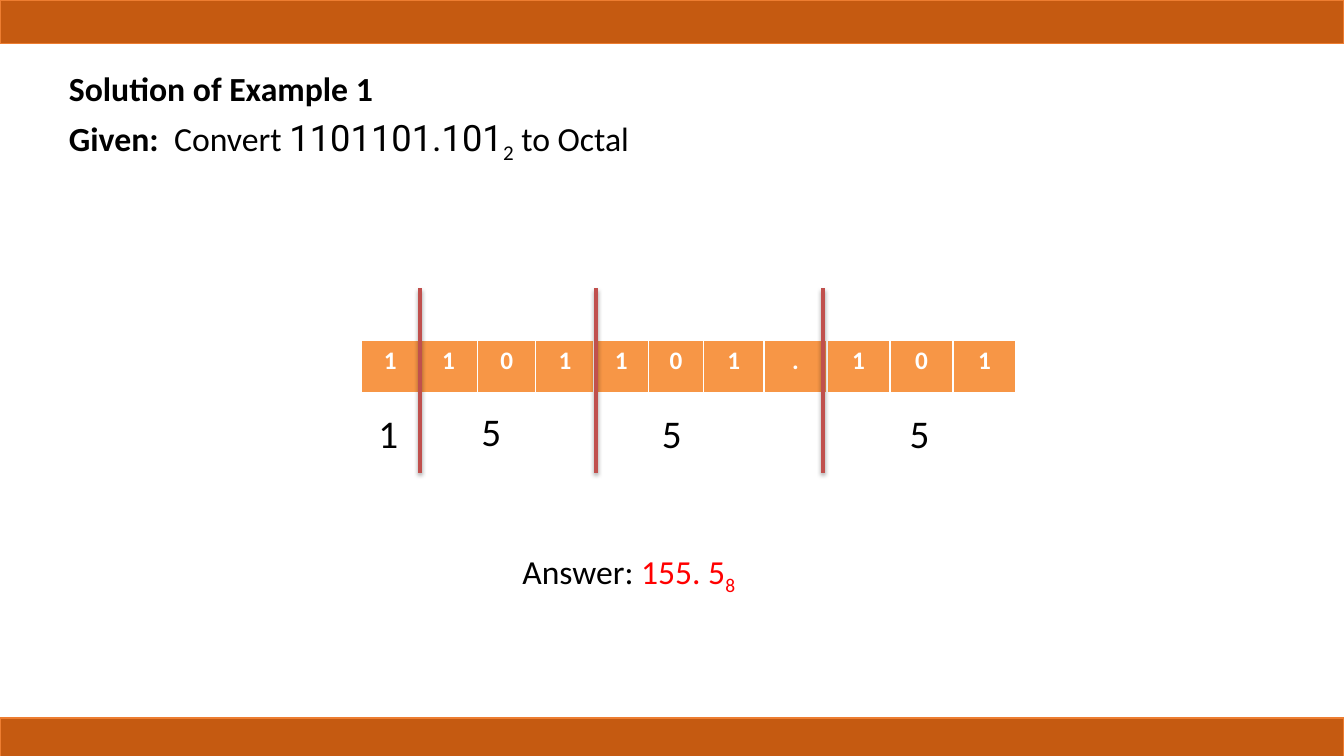
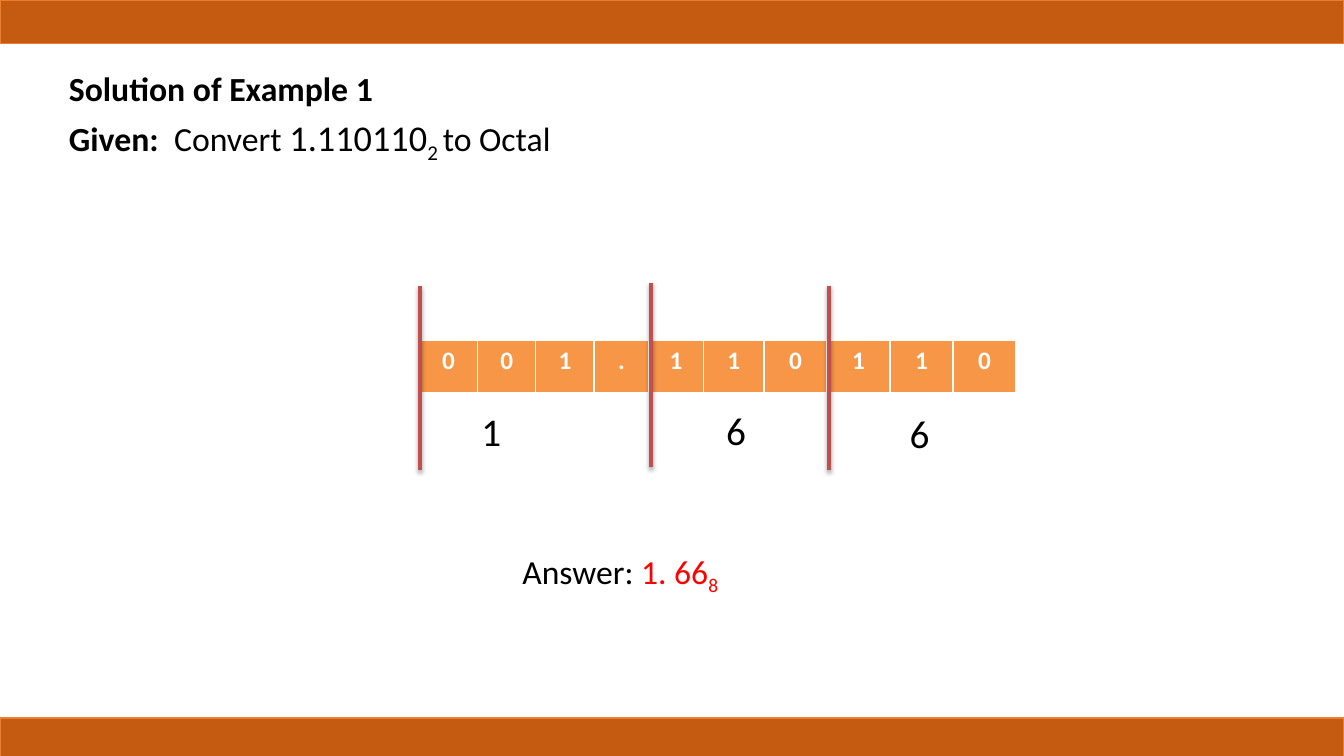
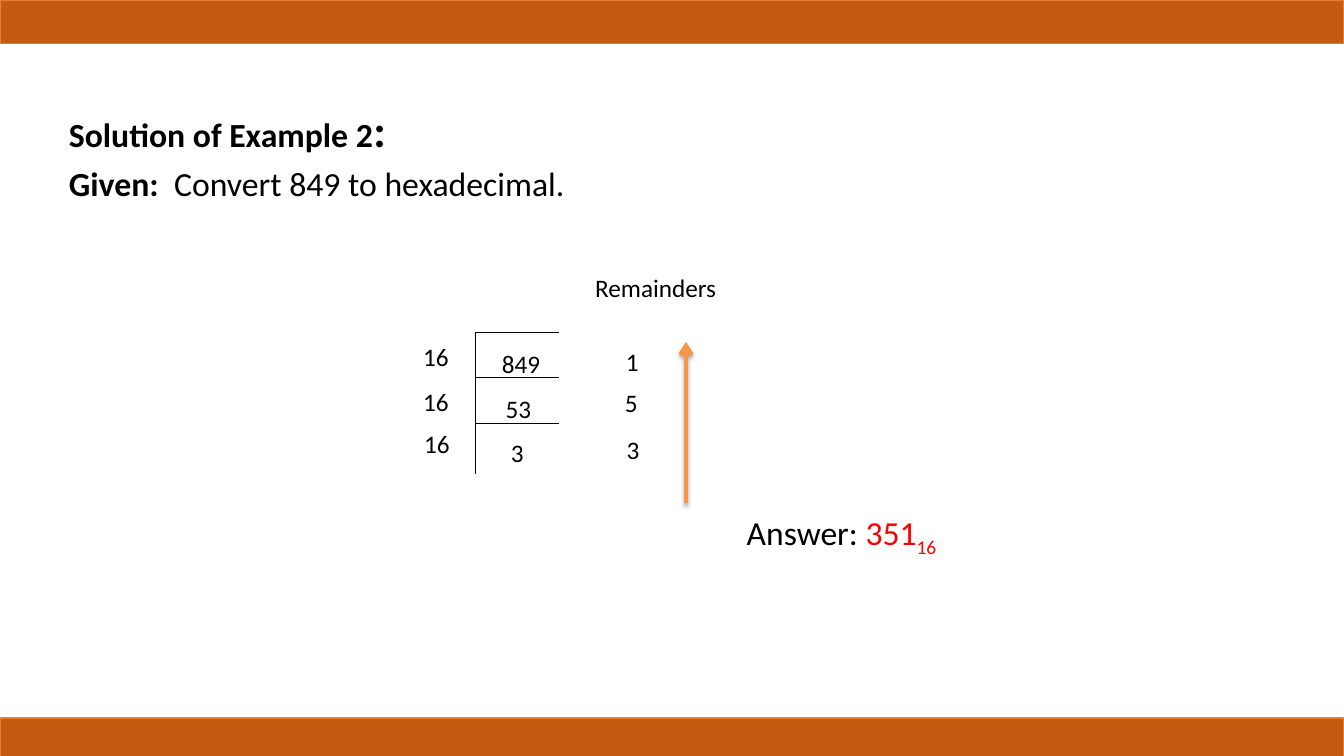
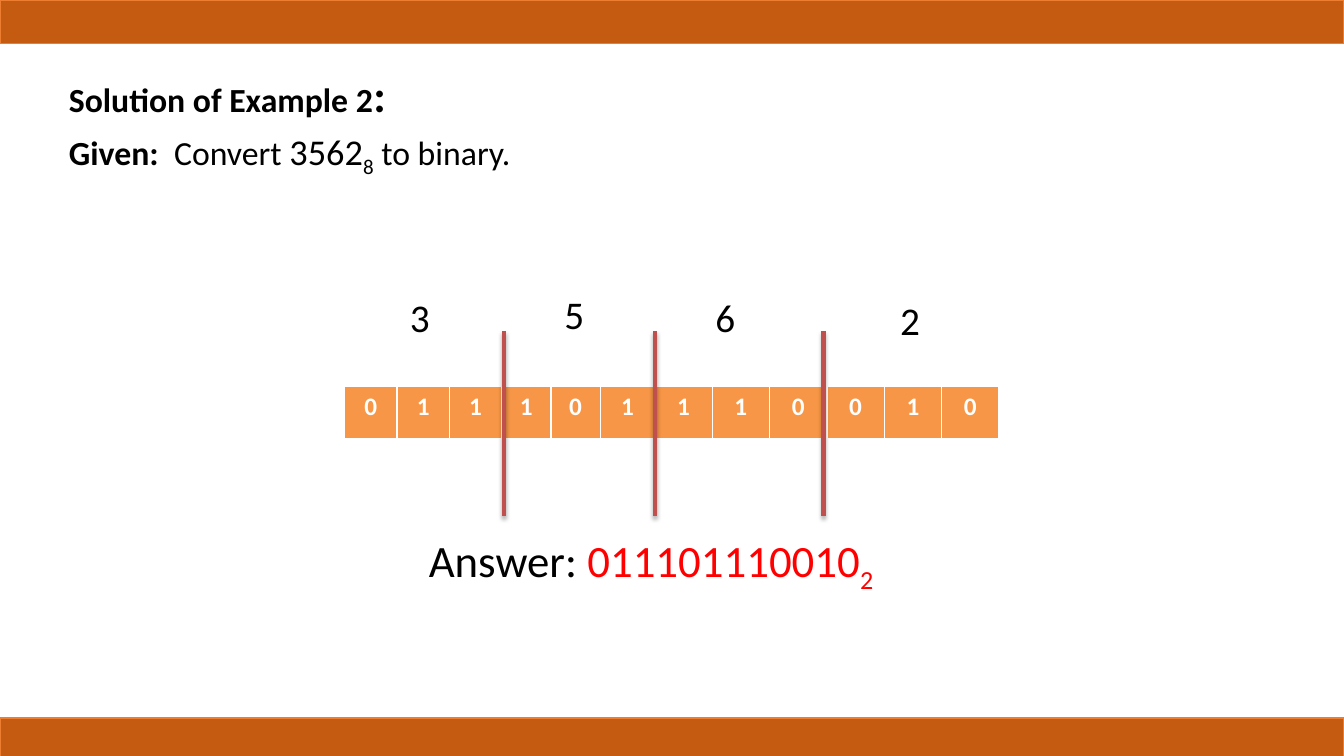
from lxml import etree
from pptx import Presentation
from pptx.dml.color import RGBColor
from pptx.enum import shapes, text
from pptx.oxml import ns
from pptx.util import Pt

BLACK = RGBColor(0x00, 0x00, 0x00)
WHITE = RGBColor(0xFF, 0xFF, 0xFF)
RED = RGBColor(0xFF, 0x00, 0x00)
RUST = RGBColor(0xC5, 0x5A, 0x11)
BAND_EDGE = RGBColor(0xED, 0x7D, 0x31)
ORANGE = RGBColor(0xF7, 0x96, 0x46)
BRICK = RGBColor(0xC0, 0x50, 0x4D)

SLIDE_WIDTH, SLIDE_HEIGHT = 960, 540
HEADING_LEFT, HEADING_WIDTH, HEADING_HEIGHT = 42, 552, 70.6
BAND_HEIGHT = 31
BAND_TOPS = (0, 513)
STRIP_HEIGHT = 38.2
DIVIDER_HEIGHT = 132
DIGIT_HEIGHT = 41.2
LABEL_HEIGHT = 29

SUBSCRIPT = {"base": -25000}
BIG = {"size": 25.9}
PLAIN = {"bold": False}
EXAMPLE_1 = [("Solution of Example 1", {})]
EXAMPLE_2 = [("Solution of Example 2", {}), (":", {"size": 32.4})]
GIVEN = ("Given:  ", {})

BITS_TO_OCTAL = [41.6] * 4 + [39] * 2 + [43.5] + [45] * 4
OCTAL_TO_BITS = [37.4] * 3 + [35.2] * 2 + [39] + [41] * 6


def add_child(parent, tag, **attributes):
    return etree.SubElement(parent, ns.qn(tag), attributes)


def add_span(para, content, size=18, color=BLACK, bold=False, base=0, font="Calibri"):
    span = para.add_run()
    span.text = content
    span.font.name = font
    span.font.size = Pt(size)
    span.font.bold = bold
    span.font.color.rgb = color
    if base:
        span._r.get_or_add_rPr().set("baseline", str(base))


def add_spans(para, spans, **shared):
    for content, changes in spans:
        add_span(para, content, **{**shared, **changes})


def add_label(page, left, top, width, height, spans, align=text.PP_ALIGN.LEFT, **style):
    box = page.shapes.add_textbox(Pt(left), Pt(top), Pt(width), Pt(height))
    frame = box.text_frame
    frame.word_wrap = True
    frame.auto_size = text.MSO_AUTO_SIZE.SHAPE_TO_FIT_TEXT
    para = frame.paragraphs[0]
    para.alignment = align
    add_spans(para, spans, **style)


def add_answer(page, left, top, width, height, value, radix, size=24, **style):
    spans = [("Answer: ", {}), (value, {"color": RED}), (radix, {"color": RED, **SUBSCRIPT})]
    add_label(page, left, top, width, height, spans, size=size, **style)


def add_line(page, start, end, color, width, shadow=False, arrow=False):
    line = page.shapes.add_connector(
        shapes.MSO_CONNECTOR.STRAIGHT, *(Pt(value) for value in (*start, *end)))
    line.line.color.rgb = color
    line.line.width = Pt(width)
    if arrow:
        add_child(line.line._get_or_add_ln(), "a:tailEnd", type="arrow")
    effects = add_child(line._element.spPr, "a:effectLst")
    if shadow:
        outer = add_child(effects, "a:outerShdw", blurRad=str(Pt(3.1)), dist=str(Pt(1.8)),
                          dir="5400000", rotWithShape="0")
        tint = add_child(outer, "a:srgbClr", val=str(BLACK))
        add_child(tint, "a:alpha", val="35000")


def add_bands(page):
    for top in BAND_TOPS:
        band = page.shapes.add_shape(
            shapes.MSO_SHAPE.RECTANGLE, 0, Pt(top), Pt(SLIDE_WIDTH), Pt(BAND_HEIGHT))
        band.shadow.inherit = False
        band.fill.solid()
        band.fill.fore_color.rgb = RUST
        band.line.color.rgb = BAND_EDGE
        band.line.width = Pt(1)


def start_page(deck, top, title, task):
    page = deck.slides.add_slide(deck.slide_layouts[0])
    unused = page.shapes.title._element
    unused.getparent().remove(unused)
    heading = page.placeholders[1]
    heading.left, heading.top = Pt(HEADING_LEFT), Pt(top)
    heading.width, heading.height = Pt(HEADING_WIDTH), Pt(HEADING_HEIGHT)
    frame = heading.text_frame
    frame.auto_size = text.MSO_AUTO_SIZE.NONE
    frame.vertical_anchor = text.MSO_ANCHOR.TOP
    for para, spans in ((frame.paragraphs[0], title), (frame.add_paragraph(), [GIVEN] + task)):
        para.alignment = text.PP_ALIGN.LEFT
        add_spans(para, spans, size=24.1, bold=True)
    frame.paragraphs[0].space_before = Pt(0)
    add_bands(page)
    return page


def style_cell(cell, content):
    borders = cell._tc.get_or_add_tcPr()
    for side, width in (("L", 1), ("R", 1), ("T", 1), ("B", 3)):
        edge = add_child(borders, f"a:ln{side}", w=str(Pt(width)))
        add_child(add_child(edge, "a:solidFill"), "a:srgbClr", val=str(WHITE))
    if not content.strip():
        cell.fill.background()
        return
    cell.fill.solid()
    cell.fill.fore_color.rgb = ORANGE
    para = cell.text_frame.paragraphs[0]
    para.alignment = text.PP_ALIGN.CENTER
    add_span(para, content, color=WHITE, bold=True)


def add_bit_strip(page, left, top, widths, bits, dividers, digits, digit_width, align):
    frame = page.shapes.add_table(
        1, len(bits), Pt(left), Pt(top), Pt(sum(widths)), Pt(STRIP_HEIGHT))
    table = frame.table
    table.rows[0].height = Pt(STRIP_HEIGHT)
    for column, width, cell, bit in zip(table.columns, widths, table.rows[0].cells, bits):
        column.width = Pt(width)
        style_cell(cell, bit)
    for across, down in dividers:
        x, y = left + across, top + down
        add_line(page, (x, y), (x, y + DIVIDER_HEIGHT), BRICK, 3, shadow=True)
    for digit, across, down in digits:
        add_label(page, left + across, top + down, digit_width, DIGIT_HEIGHT,
                  [(digit, {})], align=align, size=28)


def add_division(page, left, top, steps):
    add_label(page, left + 59.6, top - 46.4, 138, LABEL_HEIGHT, [("Remainders", {})],
              align=text.PP_ALIGN.CENTER)
    for down, cells in steps:
        y = top + down
        add_line(page, (left, y + 36), (left, y), BLACK, 0.75)
        add_line(page, (left + 59.6, y), (left, y), BLACK, 0.75)
        for content, across, drop, width in cells:
            add_label(page, left + across, y + drop, width, LABEL_HEIGHT, [(content, {})])
    add_line(page, (left + 150.2, top + 122), (left + 150.2, top + 6.8), ORANGE, 3,
             shadow=True, arrow=True)


def build_octal_page(deck, task, bits, dividers, digits, answer):
    page = start_page(deck, 44.6, EXAMPLE_1, task)
    add_bit_strip(page, 258, 243.4, BITS_TO_OCTAL, bits, dividers, digits, 48,
                  text.PP_ALIGN.CENTER)
    add_answer(page, 366, 390, 198, 36, answer, "8")


def build_hexadecimal_page(deck):
    page = start_page(deck, 69.1, EXAMPLE_2, [("Convert 849 to hexadecimal.", PLAIN)])
    add_division(page, 339.8, 237.4, [
        (0, [("16", -44.6, 3.1, 34), ("849", 11.6, 8.1, 44), ("1", 100.2, 6.7, 24)]),
        (32, [("16", -44.6, 2.8, 34), ("53", 14.4, 7.8, 44), ("5", 99.4, 3.5, 24)]),
        (65, [("16", -43.9, 0, 34), ("3", 18, 6.5, 24), ("3", 100.8, 4.3, 24)]),
    ])
    add_answer(page, 526.3, 362.2, 228, 36, "351", "16")


def build_binary_page(deck):
    page = start_page(deck, 44.6, EXAMPLE_2, [
        ("Convert ", PLAIN), ("3562", {**PLAIN, **BIG}),
        ("8", {**PLAIN, **BIG, **SUBSCRIPT}), (" to binary.", PLAIN)])
    add_bit_strip(page, 246.2, 276, OCTAL_TO_BITS, "011101110010",
                  [(113.8, -39.2), (221.8, -39.2), (342, -39.2)],
                  [("3", 39.6, -70), ("5", 149.8, -72), ("6", 257.8, -70), ("2", 389.6, -68)],
                  42, text.PP_ALIGN.LEFT)
    add_answer(page, 294, 377.3, 342, 46, "011101110010", "2", size=32,
               align=text.PP_ALIGN.CENTER)


def main():
    deck = Presentation()
    deck.slide_width, deck.slide_height = Pt(SLIDE_WIDTH), Pt(SLIDE_HEIGHT)
    build_octal_page(
        deck,
        [("Convert ", PLAIN), ("1101101.101", {**PLAIN, **BIG, "font": "Roboto"}),
         ("2", {**PLAIN, **BIG, **SUBSCRIPT}), (" to Octal", PLAIN)],
        "1101101.101",
        [(42, -37.6), (168, -37.6), (330, -37.6)],
        [("1", -4.6, 45.3), ("5", 68.9, 44.3), ("5", 197.8, 45.3), ("5", 374.9, 45.3)],
        "155. 5")
    build_octal_page(
        deck,
        [("Convert ", PLAIN), ("1.110110", {**PLAIN, **BIG}),
         ("2 ", {**PLAIN, **BIG, **SUBSCRIPT}), ("to Octal", PLAIN)],
        " 001.110110",
        [(42, -39.4), (207, -41.6), (334, -39.4)],
        [("1", 68.9, 44.3), ("6", 243.8, 43.3), ("6", 374.9, 45.3)],
        "1. 66")
    build_hexadecimal_page(deck)
    build_binary_page(deck)
    deck.save("out.pptx")


if __name__ == "__main__":
    main()
